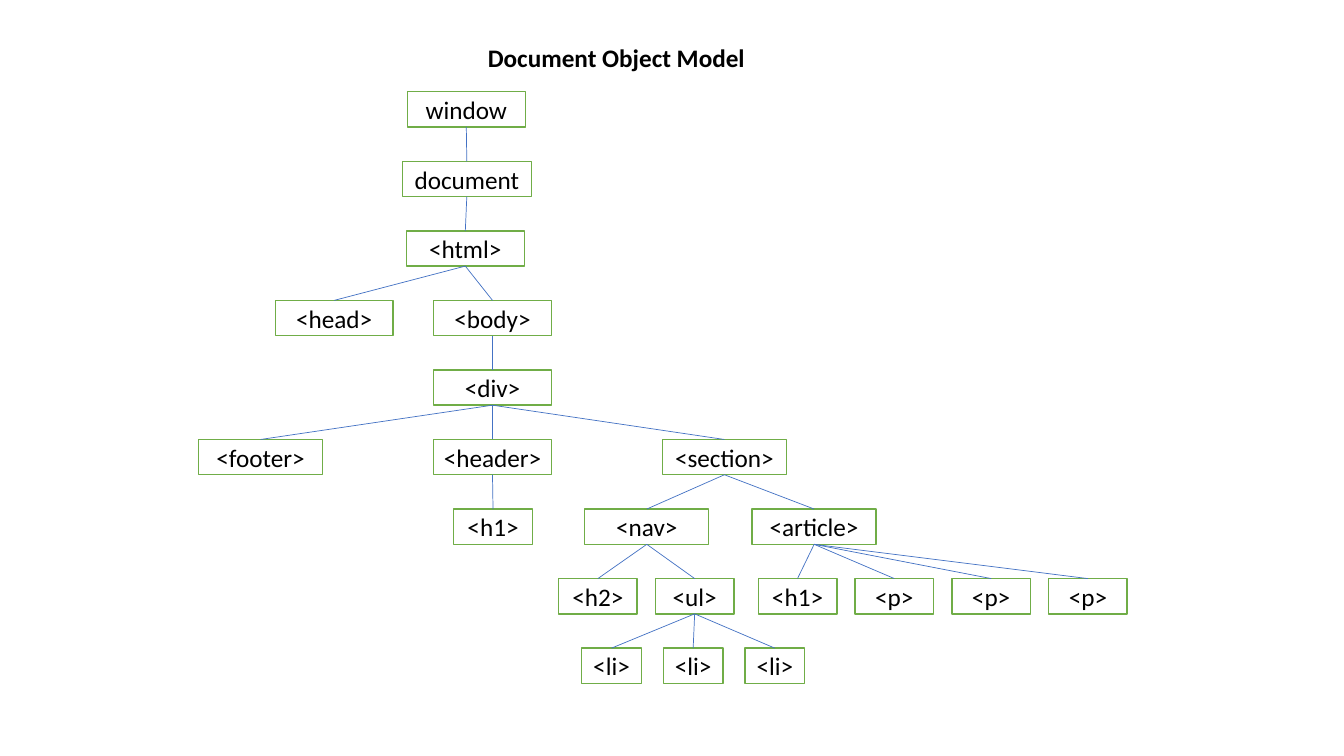
from dataclasses import dataclass, field

from pptx import Presentation, util as u
from pptx.dml.color import RGBColor
from pptx.enum import shapes, text
from pptx.oxml.ns import qn

PX = 9144  # EMU per px, 100 px to the inch
WHITE = RGBColor(0xFF, 0xFF, 0xFF)
BLACK = RGBColor(0x00, 0x00, 0x00)
GREEN = RGBColor(0x70, 0xAD, 0x47)
BLUE = RGBColor(0x44, 0x72, 0xC4)

# Every level of the tree is one row
FIRST_TOP, ROW_STEP, BOX_HEIGHT = 91, 69, 35
TOP, BOTTOM = 0, 2  # connection sites of a rectangle


@dataclass
class Node:
    label: str
    left: int
    width: int
    children: list = field(default_factory=list)


def siblings(labels, left, step, width):
    """Evenly spaced leaves of equal width."""
    return [Node(label, left + i * step, width) for i, label in enumerate(labels)]


def build_tree():
    # Contents of the section
    ul = Node("<ul>", 650, 78, siblings(["<li>"] * 3, 577, 81, 59))
    nav = Node("<nav>", 580, 123, [Node("<h2>", 554, 78), ul])
    article = Node("<article>", 746, 123,
                   siblings(["<h1>", "<p>", "<p>", "<p>"], 752, 96, 78))
    section = Node("<section>", 657, 123, [nav, article])

    # Contents of the body
    header = Node("<header>", 430, 117, [Node("<h1>", 450, 78)])
    footer = Node("<footer>", 197, 123)
    div = Node("<div>", 430, 117, [footer, header, section])

    # Top of the document
    head = Node("<head>", 273, 117)
    body = Node("<body>", 430, 117, [div])
    html = Node("<html>", 403, 117, [head, body])
    return Node("window", 404, 117, [Node("document", 399, 128, [html])])


def set_font(paragraph, bold=False):
    font = paragraph.font
    font.name, font.size, font.bold = "Calibri", u.Pt(18), bold
    font.color.rgb = BLACK


def add_box(slide, label, left, top, width):
    shape = slide.shapes.add_shape(shapes.MSO_SHAPE.RECTANGLE, left * PX, top * PX,
                                   width * PX, BOX_HEIGHT * PX)
    shape.shadow.inherit = False
    shape.fill.solid()
    shape.fill.fore_color.rgb = WHITE
    shape.line.color.rgb = GREEN
    shape.line.width = u.Pt(1)
    frame = shape.text_frame
    frame.margin_left = frame.margin_right = 0
    frame.vertical_anchor = text.MSO_ANCHOR.MIDDLE
    paragraph = frame.paragraphs[0]
    paragraph.text = label
    paragraph.alignment = text.PP_ALIGN.CENTER
    set_font(paragraph)
    return shape


def add_link(slide, parent, child):
    connector = slide.shapes.add_connector(shapes.MSO_CONNECTOR.STRAIGHT, 0, 0, 0, 0)
    connector.begin_connect(parent, BOTTOM)
    connector.end_connect(child, TOP)
    connector.line.color.rgb = BLUE
    connector.line.width = u.Pt(0.5)
    properties = connector._element.spPr
    properties.append(properties.makeelement(qn("a:effectLst"), {}))


def add_tree(slide, node, depth=0):
    """Draw a node, its descendants and the links between them."""
    box = add_box(slide, node.label, node.left, FIRST_TOP + depth * ROW_STEP, node.width)
    for child in node.children:
        add_link(slide, box, add_tree(slide, child, depth + 1))
    return box


def add_title(slide, title, left, top, width, height):
    box = slide.shapes.add_textbox(left * PX, top * PX, width * PX, height * PX)
    box.text_frame.word_wrap = False
    paragraph = box.text_frame.paragraphs[0]
    paragraph.text = title
    set_font(paragraph, bold=True)


def main():
    presentation = Presentation()
    presentation.slide_width = 1333 * PX
    presentation.slide_height = 750 * PX
    slide = presentation.slides.add_slide(presentation.slide_layouts[6])

    add_tree(slide, build_tree())
    add_title(slide, "Document Object Model", 474, 37, 277, 40)

    presentation.save("out.pptx")


if __name__ == "__main__":
    main()
